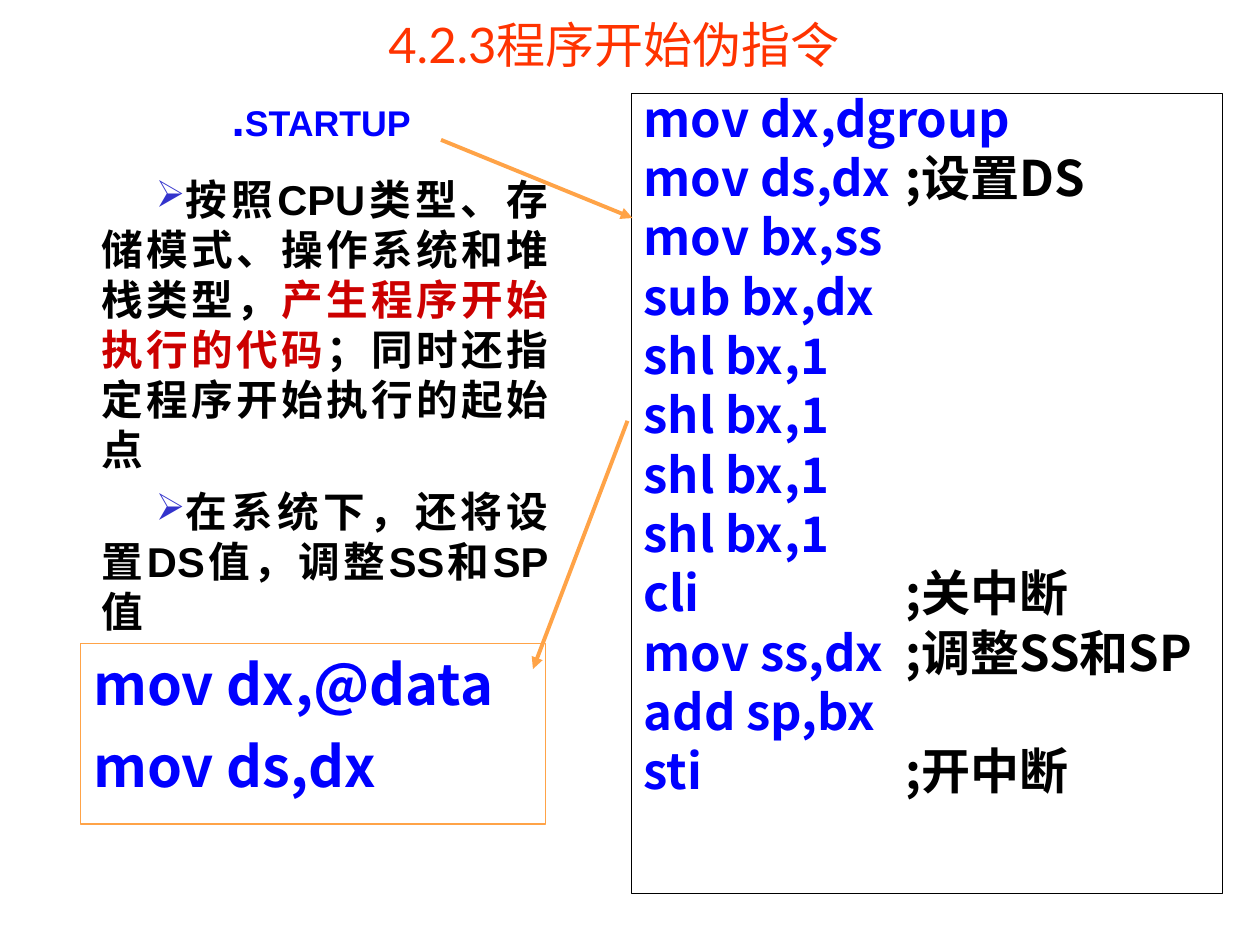
from pptx import Presentation
from pptx.dml.color import RGBColor
from pptx.enum.shapes import MSO_CONNECTOR, MSO_SHAPE
from pptx.enum.text import MSO_ANCHOR, PP_ALIGN
from pptx.oxml.ns import qn
from pptx.util import Inches, Pt
from lxml import etree

CENTER, RIGHT, JUSTIFY = PP_ALIGN.CENTER, PP_ALIGN.RIGHT, PP_ALIGN.JUSTIFY
TOP, MIDDLE = MSO_ANCHOR.TOP, MSO_ANCHOR.MIDDLE
RECT, STRAIGHT = MSO_SHAPE.RECTANGLE, MSO_CONNECTOR.STRAIGHT

COLORS = {"title": "FF3300", "code": "0000FF", "text": "000000",
          "key": "CC0000", "bullet": "3333CC", "accent": "FFA347",
          "white": "FFFFFF"}
CJK = "Noto Sans CJK SC"
LATIN = "Arial"

STARTUP_CODE = [
    ("mov dx,dgroup", ""), ("mov ds,dx", ";设置DS"), ("mov bx,ss", ""),
    ("sub bx,dx", ""), *[("shl bx,1", "")] * 4, ("cli", ";关中断"),
    ("mov ss,dx", ";调整SS和SP"), ("add sp,bx", ""), ("sti", ";开中断"),
]
NOTES = [
    [("按照CPU类型、存储模式、操作系统和堆栈类型，", "text"),
     ("产生程序开始执行的代码", "key"),
     ("；同时还指定程序开始执行的起始点", "text")],
    [("在系统下，还将设置DS值，调整SS和SP值", "text")],
]


def rgb(name):
    return RGBColor.from_string(COLORS[name])


def set_frame(tf, anchor=TOP):
    frame = {"word_wrap": True, "vertical_anchor": anchor,
             "margin_left": Inches(0.1), "margin_right": Inches(0.1),
             "margin_top": Inches(0.05), "margin_bottom": Inches(0.05)}
    for name, value in frame.items():
        setattr(tf, name, value)


def add_run(p, text, size, font, color, bold=True):
    r = p.add_run()
    r.text = text
    for name, value in {"size": Pt(size), "name": font, "bold": bold}.items():
        setattr(r.font, name, value)
    r.font.color.rgb = rgb(color)
    etree.SubElement(r.font._element, qn("a:ea"), typeface=CJK)


def add_paragraph(tf, index, align, before=0, spacing=None):
    p = tf.paragraphs[0] if index == 0 else tf.add_paragraph()
    p.alignment = align
    p.space_before = Pt(before if index else 0)
    if spacing:
        p.line_spacing = spacing
    return p


def set_tab(p, pos):
    tabs = etree.SubElement(p._p.get_or_add_pPr(), qn("a:tabLst"))
    etree.SubElement(tabs, qn("a:tab"), pos=str(Inches(pos)), algn="l")


def set_bullet(p, char, margin, indent):
    pPr = p._p.get_or_add_pPr()
    pPr.set("marL", str(Inches(margin)))
    pPr.set("indent", str(Inches(indent)))
    clr = etree.SubElement(pPr, qn("a:buClr"))
    etree.SubElement(clr, qn("a:srgbClr"), val=COLORS["bullet"])
    etree.SubElement(pPr, qn("a:buSzPct"), val="90000")
    etree.SubElement(pPr, qn("a:buChar"), char=char)


def add_title(s, box):
    sp = s.shapes.title
    sp.left, sp.top, sp.width, sp.height = map(Inches, box)
    sp.fill.solid()
    sp.fill.fore_color.rgb = rgb("white")
    set_frame(sp.text_frame, MIDDLE)
    p = add_paragraph(sp.text_frame, 0, RIGHT)
    add_run(p, "4.2.3程序开始伪指令", 28, "Lato", "title", bold=False)


def add_directive(s, box):
    tf = s.shapes.add_textbox(*map(Inches, box)).text_frame
    set_frame(tf)
    p = add_paragraph(tf, 0, CENTER, spacing=0.7)
    add_run(p, ".", 27.2, LATIN, "code")
    add_run(p, "STARTUP", 20.4, LATIN, "code")


def add_notes(s, box):
    tf = s.shapes.add_textbox(*map(Inches, box)).text_frame
    set_frame(tf)
    for i, note in enumerate(NOTES):
        p = add_paragraph(tf, i, JUSTIFY, before=7)
        set_bullet(p, "➢", 0.48, 0.43)
        for text, color in note:
            add_run(p, text, 23.8, LATIN, color)


def add_code(s, box, lines, size, before, border, spacing=None, fill=None):
    sp = s.shapes.add_shape(RECT, *map(Inches, box))
    sp.shadow.inherit = False
    if fill:
        sp.fill.solid()
        sp.fill.fore_color.rgb = rgb(fill)
    else:
        sp.fill.background()
    sp.line.color.rgb = rgb(border)
    sp.line.width = Pt(0.75)
    set_frame(sp.text_frame)
    for i, (code, comment) in enumerate(lines):
        p = add_paragraph(sp.text_frame, i, JUSTIFY, before, spacing)
        if comment:
            set_tab(p, 2.08)
            add_run(p, code + "\t", size, CJK, "code")
            add_run(p, comment, size, CJK, "text")
        else:
            add_run(p, code, size, CJK, "code")


def add_arrow(s, start, end):
    line = s.shapes.add_connector(STRAIGHT, *map(Inches, start + end))
    line.line.color.rgb = rgb("accent")
    line.line.width = Pt(2.25)
    etree.SubElement(line.line._get_or_add_ln(), qn("a:tailEnd"),
                     type="triangle")
    etree.SubElement(line._element.spPr, qn("a:effectLst"))


def main():
    prs = Presentation()
    prs.slide_width, prs.slide_height = Inches(10), Inches(7.5)
    s = prs.slides.add_slide(prs.slide_layouts[5])

    # Title and explanation
    add_title(s, (1.7, 0.1, 5.06, 0.5))
    add_directive(s, (0.86, 0.78, 3.38, 0.44))
    add_notes(s, (0.23, 1.33, 4.22, 3.58))

    # Generated code and the arrows that lead to it
    add_code(s, (5.01, 0.74, 4.69, 6.35), STARTUP_CODE, 28, 7, "text",
             spacing=0.8)
    add_arrow(s, (3.5, 1.11), (5.02, 1.73))
    add_code(s, (0.64, 5.11, 3.69, 1.43),
             [("mov dx,@data", ""), ("mov ds,dx", "")], 32, 8, "accent",
             fill="white")
    add_arrow(s, (4.98, 3.34), (4.23, 5.31))

    prs.save("out.pptx")


if __name__ == "__main__":
    main()
